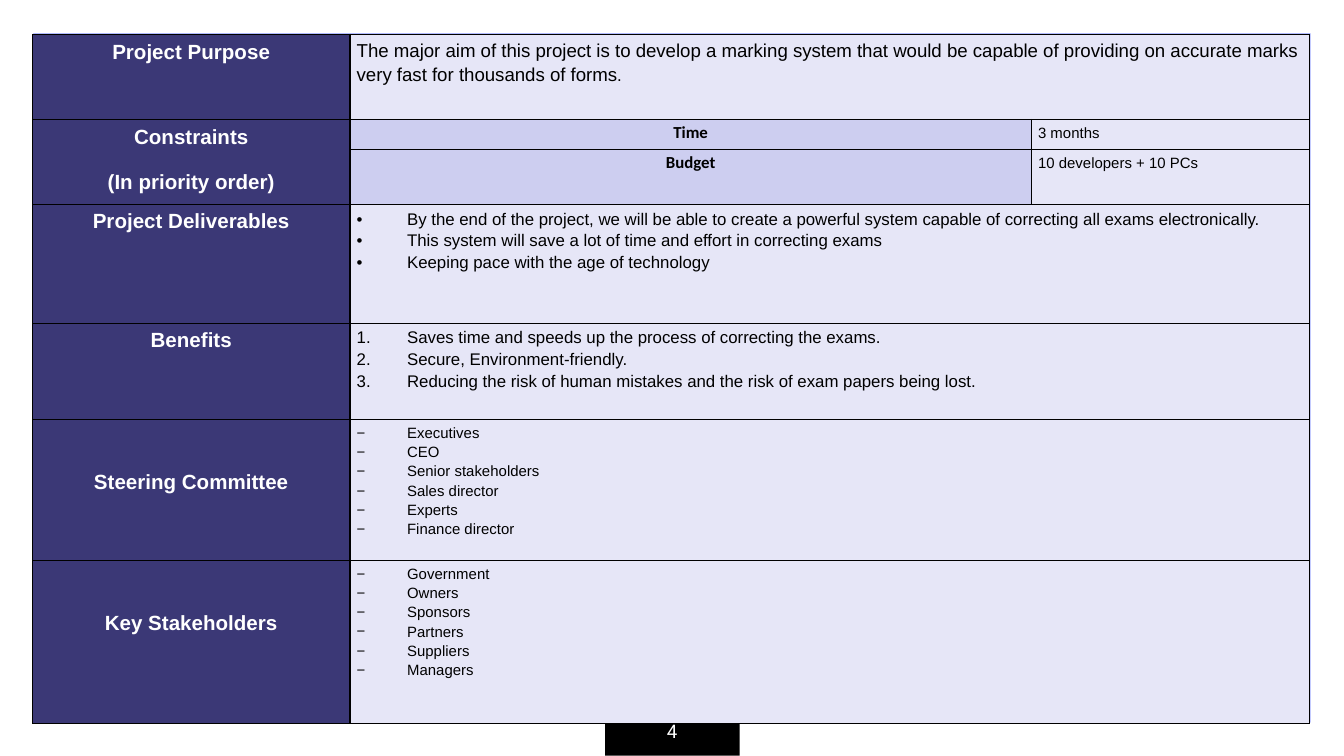
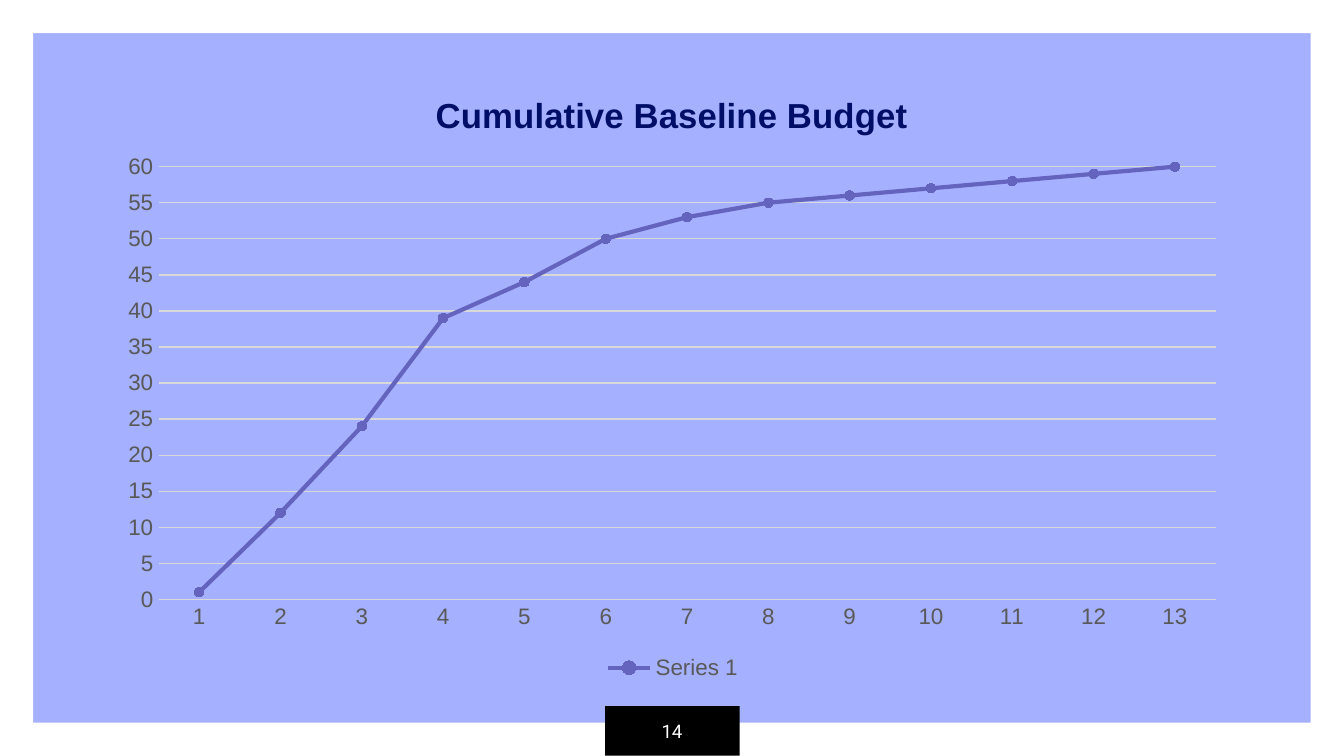
"""Build a project charter table slide and a cumulative budget chart slide."""
import pptx
import pptx.chart.data
import pptx.dml.color
import pptx.enum.chart
import pptx.enum.shapes
import pptx.enum.text
import pptx.oxml
import pptx.oxml.ns
import pptx.util
from dataclasses import dataclass

Pt = pptx.util.Pt
CENTER = pptx.enum.text.PP_ALIGN.CENTER
LEFT = pptx.enum.text.PP_ALIGN.LEFT

CHARTER = [
    ("Project Purpose", 45.5, "plain", 10, [
        "The major aim of this project is to develop a marking system that would be capable "
        "of providing on accurate marks very fast for thousands of forms"]),
    ("Constraints\n(In priority order)", 16, "pair", 8, ["Time", "3 months"]),
    ("", 29.5, "pair", 8, ["Budget", "10 developers + 10 PCs"]),
    ("Project Deliverables", 63.75, "dot", 9, [
        "By the end of the project, we will be able to create a powerful system capable of "
        "correcting all exams electronically.",
        "This system will save a lot of time and effort in correcting exams",
        "Keeping pace with the age of technology"]),
    ("Benefits", 51.5, "number", 9, [
        "Saves time and speeds up the process of correcting the exams.",
        "Secure, Environment-friendly.",
        "Reducing the risk of human mistakes and the risk of exam papers being lost."]),
    ("Steering Committee", 75.5, "dash", 8, [
        "Executives", "CEO", "Senior stakeholders", "Sales director", "Experts",
        "Finance director"]),
    ("Key Stakeholders", 87.5, "dash", 8, [
        "Government", "Owners", "Sponsors", "Partners", "Suppliers", "Managers"]),
]
COLUMNS = (170, 365, 149)
BULLETS = {
    "dot": '<a:buChar {ns} char="•"/>',
    "dash": '<a:buChar {ns} char="−"/>',
    "number": '<a:buAutoNum {ns} type="arabicPeriod"/>',
}
BUDGET = {
    "title": "Cumulative Baseline Budget",
    "series": "Series 1",
    "values": (1, 12, 24, 39, 44, 50, 53, 55, 56, 57, 58, 59, 60),
}


@dataclass(frozen=True)
class Theme:
    """Colours, fonts and type sizes shared by the slides."""
    back: str = "A5B0FE"
    white: str = "FFFFFF"
    black: str = "000000"
    label: str = "3B3876"
    key: str = "CDCEF0"
    body: str = "E6E6F7"
    title: str = "010E68"
    series: str = "6463BD"
    axis: str = "595959"
    grid: str = "D9D9D9"
    font: str = "Arial"
    key_font: str = "Calibri"
    page_font: str = "Roboto"
    label_size: float = 11
    key_size: float = 9
    stop_size: float = 9
    page_size: float = 10
    axis_size: float = 12
    title_size: float = 18.6
    left: float = 17.5
    top: float = 18.5
    inset: float = 3.6
    label_drop: float = 24.5


T = Theme()


def rgb(color):
    return pptx.dml.color.RGBColor.from_string(color)


def put(obj, **values):
    for name, value in values.items():
        setattr(obj, name, value)


def xml(text):
    return pptx.oxml.parse_xml(text.replace("{ns}", pptx.oxml.ns.nsdecls("a", "c")))


def fill(obj, color):
    obj.fill.solid()
    obj.fill.fore_color.rgb = rgb(color)


def add_run(p, text, size, color, name=T.font, bold=False):
    r = p.add_run()
    r.text = text
    style(r.font, size, color, name, bold)


def style(font, size, color, name=T.font, bold=False):
    put(font, size=Pt(size), name=name, bold=bold)
    font.color.rgb = rgb(color)


def draw_line(line, color, width):
    line.color.rgb = rgb(color)
    line.width = Pt(width)


def write(tf, lines, font, align=LEFT, bullet=None):
    for i, text in enumerate(lines):
        p = tf.paragraphs[0] if i == 0 else tf.add_paragraph()
        last = i == len(lines) - 1
        put(p, alignment=align, line_spacing=1.15,
            space_after=Pt(0 if bullet and not last else 10))
        add_run(p, text, **font)
        if bullet:
            pPr = p._p.get_or_add_pPr()
            pPr.set("marL", str(Pt(27)))
            pPr.set("indent", str(Pt(-27)))
            pPr.append(xml(f'<a:buClr {{ns}}><a:srgbClr val="{T.black}"/></a:buClr>'))
            pPr.append(xml(f'<a:buFont {{ns}} typeface="{T.font}"/>'))
            pPr.append(xml(BULLETS[bullet]))


def paint_cell(cell, color, inset=T.inset, drop=0):
    edge = inset * 0.4
    put(cell, margin_left=Pt(inset), margin_right=Pt(inset),
        margin_top=Pt(edge + drop), margin_bottom=Pt(edge))
    fill(cell, color)
    tcPr = cell._tc.get_or_add_tcPr()
    for i, side in enumerate("LRTB"):
        tcPr.insert(i, xml(f'<a:ln{side} {{ns}} w="{Pt(0.75)}"><a:solidFill>'
                           f'<a:srgbClr val="{T.black}"/></a:solidFill></a:ln{side}>'))


def add_slide(prs, number):
    s = prs.slides.add_slide(prs.slide_layouts[6])
    fill(s.background, T.back)
    kinds = pptx.enum.shapes.MSO_SHAPE
    frame = s.shapes.add_shape(kinds.FRAME, 0, 0, prs.slide_width, prs.slide_height)
    frame.adjustments[0] = 0.044
    tab = s.shapes.add_shape(kinds.RECTANGLE, Pt(347), Pt(355.5), Pt(26.5), Pt(72))
    tab.rotation = 270
    for sp, color in ((frame, T.white), (tab, T.black)):
        fill(sp, color)
        sp.line.fill.background()
        sp.shadow.inherit = False
    tf = s.shapes.add_textbox(Pt(324), Pt(378.5), Pt(72), Pt(26.5)).text_frame
    put(tf, word_wrap=True, vertical_anchor=pptx.enum.text.MSO_ANCHOR.MIDDLE)
    p = tf.paragraphs[0]
    p.alignment = CENTER
    add_run(p, str(number), T.page_size, T.white, T.page_font)
    return s


def add_charter(s):
    height = sum(row[1] for row in CHARTER)
    table = s.shapes.add_table(len(CHARTER), len(COLUMNS), Pt(T.left), Pt(T.top),
                               Pt(sum(COLUMNS)), Pt(height)).table
    put(table, first_row=False, horz_banding=False)
    for col, width in zip(table.columns, COLUMNS):
        col.width = Pt(width)
    label_font = dict(size=T.label_size, color=T.white, bold=True)
    key_font = dict(size=T.key_size, color=T.black, name=T.key_font, bold=True)
    for i, (label, row_height, kind, size, lines) in enumerate(CHARTER):
        table.rows[i].height = Pt(row_height)
        head, mid, end = (table.cell(i, j) for j in range(3))
        body_font = dict(size=size, color=T.black)
        paint_cell(head, T.label, drop=T.label_drop if kind == "dash" else 0)
        paint_cell(end, T.body)
        if label:
            write(head.text_frame, label.split("\n"), label_font, CENTER)
        else:
            table.cell(i - 1, 0).merge(head)
        if kind == "pair":
            paint_cell(mid, T.key, inset=0)
            write(mid.text_frame, lines[:1], key_font, CENTER)
            write(end.text_frame, lines[1:], body_font)
        else:
            paint_cell(mid, T.body)
            mid.merge(end)
            write(mid.text_frame, lines, body_font, bullet=kind if kind in BULLETS else None)
        if kind == "plain":
            add_run(mid.text_frame.paragraphs[-1], ".", T.stop_size, T.black)


def place(element, index, inner=False, **percents):
    for old in element.findall(pptx.oxml.ns.qn("c:layout")):
        element.remove(old)
    parts = ['<c:layoutTarget val="inner"/>'] if inner else []
    parts += [f'<c:{k}Mode val="edge"/>' for k in "xy"]
    parts += [f'<c:{k} val="{v / 100:.3f}"/>' for k, v in percents.items()]
    element.insert(index, xml("<c:layout {ns}><c:manualLayout>" + "".join(parts)
                              + "</c:manualLayout></c:layout>"))


def add_budget(s):
    enum = pptx.enum.chart
    data = pptx.chart.data.CategoryChartData()
    data.categories = [str(n + 1) for n in range(len(BUDGET["values"]))]
    data.add_series(BUDGET["series"], BUDGET["values"])
    chart = s.shapes.add_chart(enum.XL_CHART_TYPE.LINE_MARKERS_STACKED, Pt(57), Pt(38),
                               Pt(607), Pt(329), data).chart
    style(chart.font, T.page_size, T.black)
    space = chart._chartSpace
    space.find(pptx.oxml.ns.qn("c:txPr")).addprevious(
        xml("<c:spPr {ns}><a:noFill/><a:ln><a:noFill/></a:ln></c:spPr>"))

    chart.has_title = True
    p = chart.chart_title.text_frame.paragraphs[0]
    add_run(p, BUDGET["title"], T.title_size, T.title, bold=True)
    chart.has_legend = True
    put(chart.legend, position=enum.XL_LEGEND_POSITION.BOTTOM, include_in_layout=False)
    style(chart.legend.font, T.axis_size, T.axis)

    for axis in (chart.category_axis, chart.value_axis):
        put(axis, major_tick_mark=enum.XL_TICK_MARK.NONE, minor_tick_mark=enum.XL_TICK_MARK.NONE)
        style(axis.tick_labels.font, T.axis_size, T.axis)
    draw_line(chart.category_axis.format.line, T.grid, 0.75)
    value = chart.value_axis
    put(value, minimum_scale=0, maximum_scale=60, major_unit=5, has_major_gridlines=True)
    value.format.line.fill.background()
    draw_line(value.major_gridlines.format.line, T.grid, 0.75)

    plot = chart.plots[0]
    plot.vary_by_categories = False
    series = plot.series[0]
    series.smooth = False
    draw_line(series.format.line, T.series, 2.25)
    put(series.marker, style=enum.XL_MARKER_STYLE.CIRCLE, size=5)
    fill(series.marker.format, T.series)
    draw_line(series.marker.format.line, T.series, 0.75)

    place(chart.chart_title._element, 1, x=28.5, y=2.5)
    place(space.chart.plotArea, 0, inner=True, x=4.6, y=15.6, w=93.3, h=70.5)


def main():
    prs = pptx.Presentation()
    put(prs, slide_width=Pt(720), slide_height=Pt(405))
    add_charter(add_slide(prs, 4))
    add_budget(add_slide(prs, 14))
    prs.save("out.pptx")


if __name__ == "__main__":
    main()
